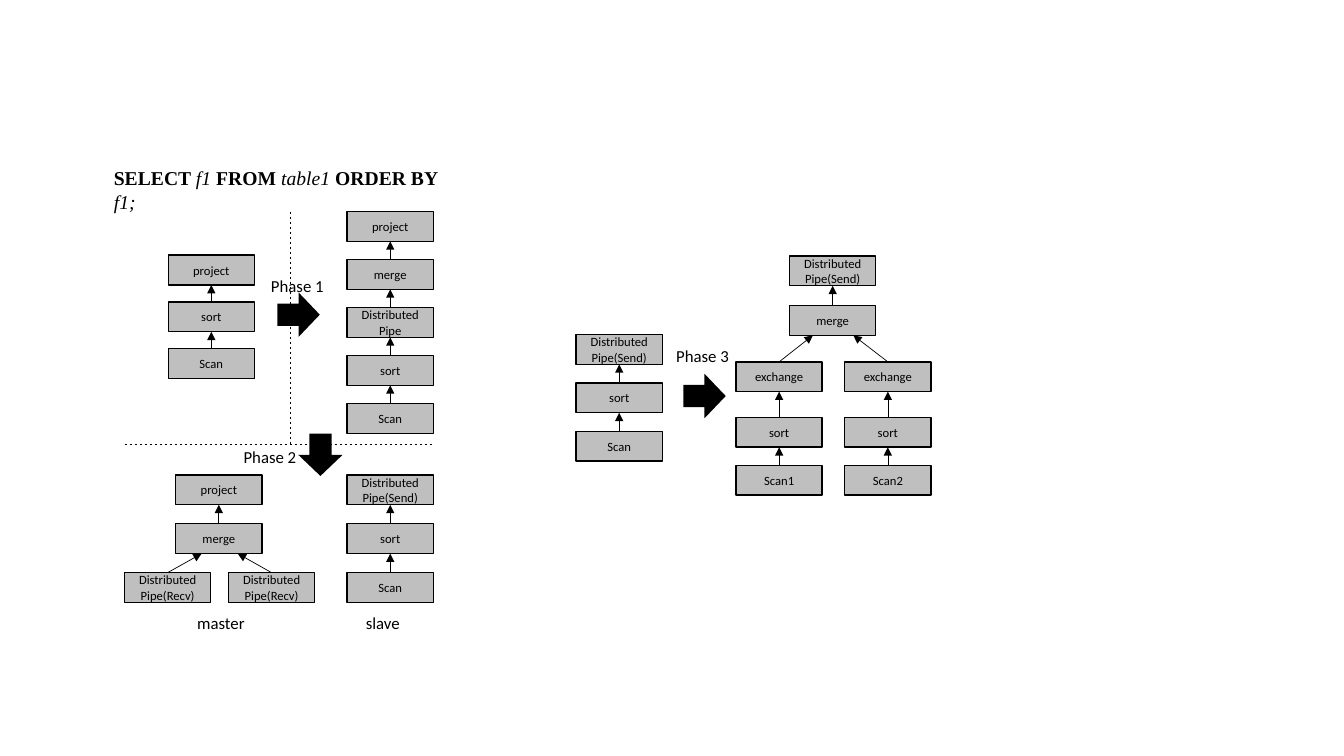
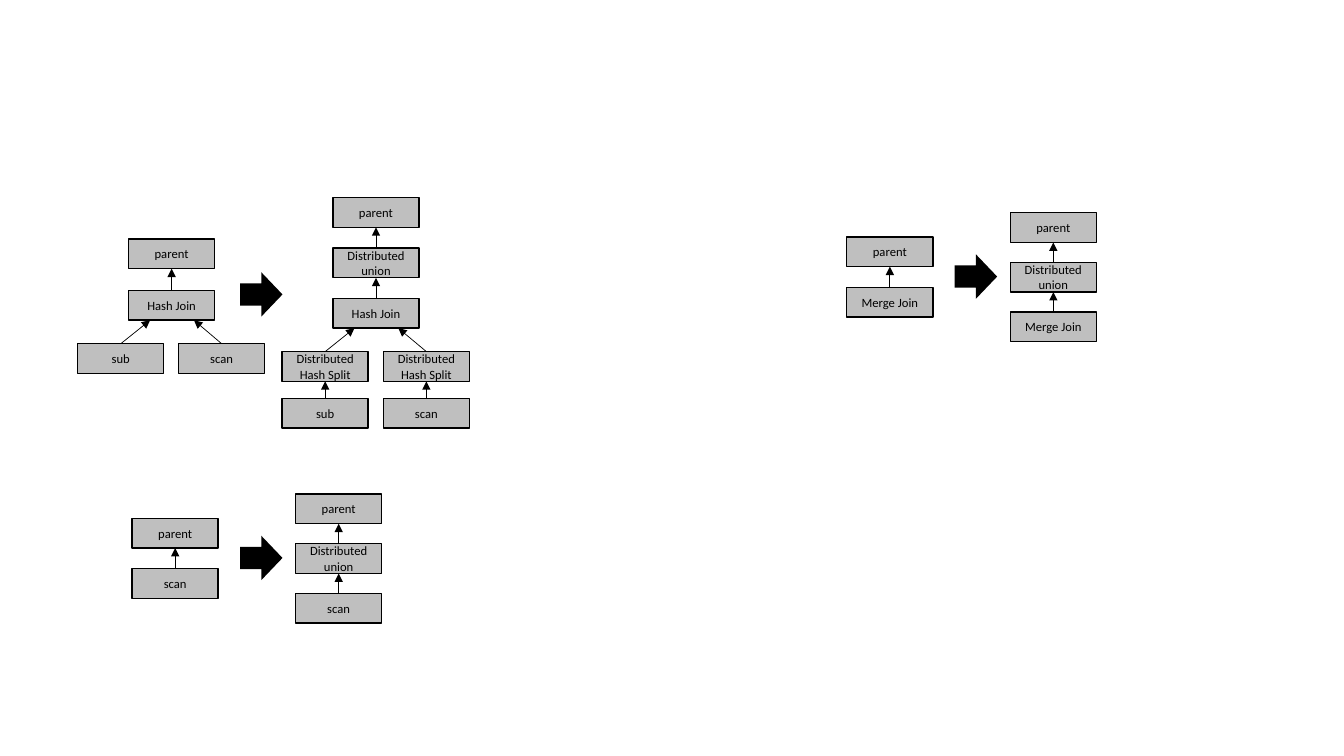
from dataclasses import dataclass

from lxml import etree
from pptx import Presentation
from pptx.dml.color import RGBColor
from pptx.enum import dml, shapes, text
from pptx.oxml import ns
from pptx.util import Cm, Pt


@dataclass(frozen=True)
class Theme:
    ink: RGBColor = RGBColor(0x00, 0x00, 0x00)
    node_fill: RGBColor = RGBColor(0xBF, 0xBF, 0xBF)
    font: str = "Calibri"
    query_font: str = "Times New Roman"
    node_size: float = 9
    label_size: float = 12
    query_size: float = 14
    node_line: float = 1
    thin_line: float = 0.5


THEME = Theme()

# Sizes in centimetres
NODE_WIDTH, NODE_HEIGHT = 2.17, 0.75
ARROW_WIDTH, ARROW_HEIGHT = 1.07, 1.12


# Text
def add_span(para, content, font=THEME.font, size=THEME.label_size, bold=False, italic=False):
    span = para.add_run()
    span.text = content
    span.font.name, span.font.size = font, Pt(size)
    span.font.bold, span.font.italic = bold, italic
    span.font.color.rgb = THEME.ink


def add_text_box(page, left, top, width, height, wrap=False):
    box = page.shapes.add_textbox(Cm(left), Cm(top), Cm(width), Cm(height))
    box.text_frame.word_wrap = wrap
    box.text_frame.auto_size = text.MSO_AUTO_SIZE.SHAPE_TO_FIT_TEXT
    return box.text_frame.paragraphs[0]


def add_label(page, content, left, top, width=1.85):
    add_span(add_text_box(page, left, top, width, 0.76), content)


# Shapes
def add_filled(page, kind, left, top, width, height, fill):
    shape = page.shapes.add_shape(kind, Cm(left), Cm(top), Cm(width), Cm(height))
    shape.shadow.inherit = False
    shape.fill.solid()
    shape.fill.fore_color.rgb = fill
    return shape


def add_node(page, label, left, top):
    node = add_filled(page, shapes.MSO_SHAPE.RECTANGLE, left, top,
                      NODE_WIDTH, NODE_HEIGHT, THEME.node_fill)
    node.line.color.rgb = THEME.ink
    node.line.width = Pt(THEME.node_line)
    node.text_frame.word_wrap = True
    node.text_frame.vertical_anchor = text.MSO_ANCHOR.MIDDLE
    para = node.text_frame.paragraphs[0]
    para.alignment = text.PP_ALIGN.CENTER
    add_span(para, label, size=THEME.node_size)
    return node


def add_block_arrow(page, left, top, rotation=0):
    arrow = add_filled(page, shapes.MSO_SHAPE.RIGHT_ARROW, left, top,
                       ARROW_WIDTH, ARROW_HEIGHT, THEME.ink)
    arrow.line.fill.background()
    arrow.rotation = rotation


# Lines
def add_line(page, start_x, start_y, end_x, end_y):
    line = page.shapes.add_connector(
        shapes.MSO_CONNECTOR.STRAIGHT, start_x, start_y, end_x, end_y)
    line.line.color.rgb = THEME.ink
    line.line.width = Pt(THEME.thin_line)
    etree.SubElement(line._element.spPr, ns.qn("a:effectLst"))
    return line


def add_divider(page, *ends):
    add_line(page, *map(Cm, ends)).line.dash_style = dml.MSO_LINE.DASH


def link(page, child, parent, share=None):
    """Arrow from the child's top to the parent's bottom, at a share of its width."""
    end_x = parent.left + int(parent.width * (0.5 if share is None else share))
    line = add_line(page, child.left + child.width // 2, child.top,
                    end_x, parent.top + parent.height)
    line.begin_connect(child, 0)
    if share is None:
        line.end_connect(parent, 2)
    etree.SubElement(line.line._get_or_add_ln(), ns.qn("a:tailEnd"), type="triangle")


# Plans
def add_stack(page, labels, left, top, pitch):
    """Column of nodes, each feeding the one above."""
    nodes = [add_node(page, label, left, top + row * pitch)
             for row, label in enumerate(labels)]
    for parent, child in zip(nodes, nodes[1:]):
        link(page, child, parent)
    return nodes


def add_branches(page, parent, branches, top, shares, pitch=0):
    """Stacks side by side, whose heads feed one parent; returns the stacks."""
    stacks = []
    for (left, labels), share in zip(branches, shares):
        stacks.append(add_stack(page, labels, left, top, pitch))
        link(page, stacks[-1][0], parent, share)
    return stacks


def add_union_rewrite(page, leaf, left, top):
    """A two-node plan and the same plan with a distributed union."""
    add_stack(page, ["parent", leaf], left, top, 1.27)
    add_block_arrow(page, left + 2.72, top + 0.44)
    add_stack(page, ["parent", "Distributed union", leaf], left + 4.12, top - 0.61, 1.25)


# Slides
def build_sort_page(page):
    send, receive = "Distributed Pipe(Send)", "Distributed Pipe(Recv)"

    # Phase 1
    add_stack(page, ["project", "sort", "Scan"], 4.24, 6.43, 1.18)
    add_stack(page, ["project", "merge", "Distributed Pipe", "sort", "Scan"],
              8.75, 5.33, 1.21)
    add_block_arrow(page, 6.99, 7.37)

    # Phase 2
    add_stack(page, [send, "sort", "Scan"], 8.75, 11.97, 1.23)
    add_block_arrow(page, 7.54, 10.9, rotation=90)
    master = add_stack(page, ["project", "merge"], 4.43, 11.97, 1.23)
    add_branches(page, master[-1], [(3.14, [receive]), (5.76, [receive])],
                 14.43, (0.3, 0.72))

    # Dividers and labels
    add_divider(page, 7.32, 5.33, 7.32, 11.2)
    add_divider(page, 3.14, 11.2, 10.92, 11.2)
    query = add_text_box(page, 2.62, 4.06, 9.32, 0.86, wrap=True)
    for keyword, name in (("SELECT ", "f1 "), ("FROM ", "table1 "), ("ORDER BY ", "f1;")):
        add_span(query, keyword, THEME.query_font, THEME.query_size, bold=True)
        add_span(query, name, THEME.query_font, THEME.query_size, italic=True)
    add_label(page, "Phase 1", 6.58, 6.83)
    add_label(page, "Phase 2", 5.89, 11.13)
    add_label(page, "master", 4.72, 15.32, width=1.73)
    add_label(page, "slave", 8.97, 15.32, width=1.37)

    # Phase 3
    add_stack(page, [send, "sort", "Scan"], 14.52, 8.43, 1.22)
    add_block_arrow(page, 17.22, 9.42)
    merged = add_stack(page, [send, "merge"], 19.9, 6.45, 1.25)
    lefts = (18.55, 21.29)
    exchanges = add_branches(page, merged[-1], [(left, ["exchange"]) for left in lefts],
                             9.12, (0.27, 0.74))
    for number, (left, exchange) in enumerate(zip(lefts, exchanges), start=1):
        scan = add_stack(page, ["sort", f"Scan{number}"], left, 10.52, 1.21)
        link(page, scan[0], exchange[0])
    add_label(page, "Phase 3", 16.79, 8.59)


def build_join_page(page):
    shares = (0.25, 0.76)

    # Hash join
    join = add_stack(page, ["parent", "Hash Join"], 3.24, 6.02, 1.3)
    add_branches(page, join[-1], [(1.96, ["sub"]), (4.5, ["scan"])], 8.66, shares)
    add_block_arrow(page, 6.05, 6.86)
    join = add_stack(page, ["parent", "Distributed union", "Hash Join"], 8.39, 4.98, 1.27)
    split = "Distributed Hash Split"
    add_branches(page, join[-1], [(7.11, [split, "sub"]), (9.66, [split, "scan"])],
                 8.86, shares, pitch=1.18)

    # Merge join and scan
    add_union_rewrite(page, "Merge Join", 21.34, 5.97)
    add_union_rewrite(page, "scan", 3.33, 13.06)


def main():
    deck = Presentation()
    deck.slide_width, deck.slide_height = Cm(33.87), Cm(19.05)
    for build in (build_sort_page, build_join_page):
        build(deck.slides.add_slide(deck.slide_layouts[6]))
    deck.save("out.pptx")


if __name__ == "__main__":
    main()
